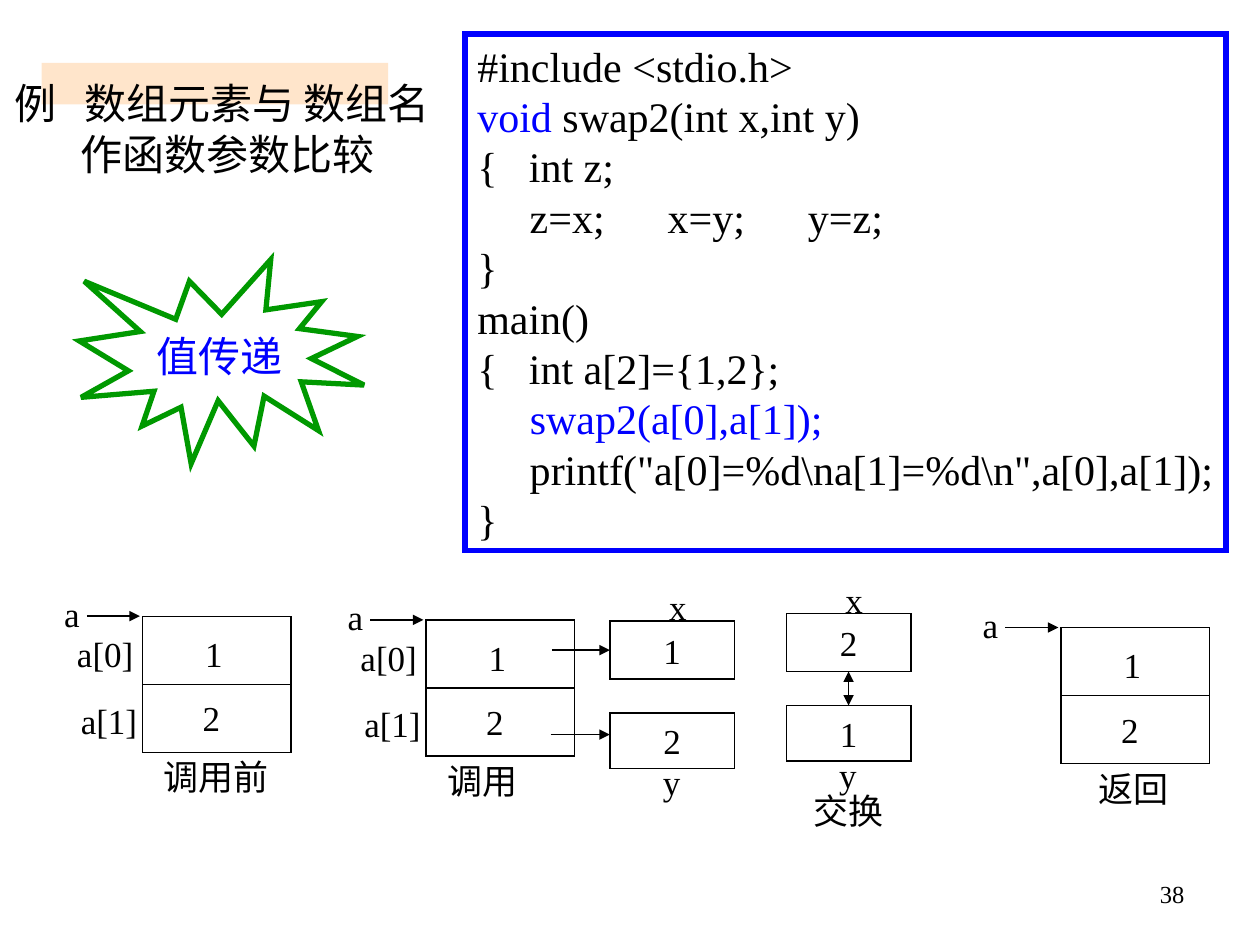
from lxml import etree
from pptx import Presentation
from pptx.dml.color import RGBColor
from pptx.enum.shapes import MSO_CONNECTOR as Link, MSO_SHAPE as Form
from pptx.enum.text import MSO_ANCHOR as Anchor, PP_ALIGN as Align
from pptx.oxml.ns import qn
from pptx.util import Inches, Pt

FONT = "Times New Roman"
BLACK, WHITE, BLUE = "000000", "FFFFFF", "0000FF"


def color(code):
    return RGBColor.from_string(code)


def write(shape, lines, size=20, align=Align.LEFT, anchor=Anchor.TOP):
    """Each line is a list of (text, colour) runs."""
    frame = shape.text_frame
    frame.word_wrap = False
    frame.vertical_anchor = anchor
    for i, line in enumerate(lines):
        para = frame.paragraphs[0] if i == 0 else frame.add_paragraph()
        para.alignment = align
        for text, code in line:
            run = para.add_run()
            run.text = text
            run.font.name = FONT
            run.font.size = Pt(size)
            run.font.color.rgb = color(code)


def label(slide, x, y, w, text, h=0.44, size=20, align=Align.LEFT):
    box = slide.shapes.add_textbox(Inches(x), Inches(y), Inches(w), Inches(h))
    write(box, [[(text, BLACK)]], size, align)


def block(slide, x, y, w, h, fill=WHITE, line=BLACK, width=0.75,
          form=Form.RECTANGLE):
    shape = slide.shapes.add_shape(form, Inches(x), Inches(y),
                                   Inches(w), Inches(h))
    shape.shadow.inherit = False
    shape.fill.solid()
    shape.fill.fore_color.rgb = color(fill)
    if line:
        shape.line.color.rgb = color(line)
        shape.line.width = Pt(width)
        # Sharp corners
        stroke = shape.line._get_or_add_ln()
        etree.SubElement(stroke, qn("a:miter"), lim="800000")
    else:
        shape.line.fill.background()
    return shape


def rule(slide, x1, y1, x2, y2, heads=()):
    """Straight line; heads may hold headEnd (start) and tailEnd (end)."""
    line = slide.shapes.add_connector(Link.STRAIGHT, Inches(x1), Inches(y1),
                                      Inches(x2), Inches(y2))
    line.line.color.rgb = color(BLACK)
    line.line.width = Pt(0.75)
    stroke = line.line._get_or_add_ln()
    for head in heads:
        etree.SubElement(stroke, qn("a:" + head), type="triangle")
    etree.SubElement(line._element.spPr, qn("a:effectLst"))
    return line


def title(slide, x, y, w, h):
    # Half-transparent band behind the heading
    band = block(slide, x + 0.31, y - 0.07, 2.75, 0.33, "FFCC99", None)
    tint = band.fill._xPr.find(".//" + qn("a:srgbClr"))
    etree.SubElement(tint, qn("a:alpha"), val="50000")

    box = slide.shapes.add_textbox(Inches(x), Inches(y), Inches(w), Inches(h))
    write(box, [[("例\t数组元素与 数组名", BLACK)],
                [("作函数参数比较", BLACK)]], 24)
    for para, left, first in zip(box.text_frame.paragraphs,
                                 (0.55, 0.52), (-0.55, 0)):
        props = para._p.get_or_add_pPr()
        props.set("marL", str(Inches(left)))
        props.set("indent", str(Inches(first)))
        if first:
            tabs = etree.SubElement(props, qn("a:tabLst"))
            etree.SubElement(tabs, qn("a:tab"), pos=str(Inches(left)), algn="l")


def code(slide, x, y, w, h):
    lines = [
        [("#include <stdio.h>", BLACK)],
        [("void", BLUE), (" swap2(int x,int y)", BLACK)],
        [("{   int z;", BLACK)],
        [("     z=x;      x=y;      y=z;", BLACK)],
        [("}", BLACK)],
        [("main()", BLACK)],
        [("{   int a[2]={1,2};", BLACK)],
        [("     ", BLACK), ("swap2(a[0],a[1]);", BLUE)],
        [('     printf("a[0]=%d\\na[1]=%d\\n",a[0],a[1]);', BLACK)],
        [("}", BLACK)],
    ]
    write(block(slide, x, y, w, h, line=BLUE, width=3), lines, 24)


def burst(slide, x, y, w, h):
    star = block(slide, x, y, w, h, WHITE, "009900", 3, Form.EXPLOSION1)
    write(star, [[("值传递", BLUE)]], 24, Align.CENTER, Anchor.MIDDLE)


def array(slide, x, y, w, h, name, shift=0.07, index=True):
    """Array a with two stacked elements and a caption below."""
    frame = block(slide, x, y, w, h)
    split = rule(slide, x, y + h / 2, x + w, y + h / 2)
    split.begin_connect(frame, 1)
    split.end_connect(frame, 3)
    label(slide, x + 0.4, y + 0.08, 0.34, "1")
    label(slide, x + 0.38, y + 0.59, 0.34, "2")
    # Pointer to the first element
    label(slide, x - 0.72, y - 0.24, 0.32, "a")
    rule(slide, x - 0.44, y, x - 0.02, y, ["tailEnd"])
    # Caption, wide enough for one line
    label(slide, x + shift, y + h - 0.02, 0.3 * len(name) + 0.3, name)
    if index:
        label(slide, x - 0.62, y + 0.08, 0.65, "a[0]", align=Align.CENTER)
        label(slide, x - 0.59, y + 0.61, 0.65, "a[1]", align=Align.CENTER)


def pair(slide, x, y, w, top, low):
    """Parameters x and y with their values; returns both cells."""
    cells = (block(slide, x, y, w, 0.46),
             block(slide, x, y + 0.73, w, 0.44))
    for cell, value in zip(cells, (top, low)):
        write(cell, [[(value, BLACK)]], 20, Align.CENTER, Anchor.MIDDLE)
    label(slide, x + 0.37, y - 0.33, 0.34, "x", align=Align.CENTER)
    label(slide, x + 0.32, y + 1.06, 0.34, "y", align=Align.CENTER)
    return cells


def call(slide, x, y, w, h):
    """Array elements copied into the parameters."""
    array(slide, x, y, w, h, "调用")
    left = x + 1.46
    cell, _ = pair(slide, left, y + 0.01, 0.99, "1", "2")
    first = rule(slide, x + 1, y + 0.24, left, y + 0.24, ["tailEnd"])
    first.end_connect(cell, 1)
    rule(slide, x + 0.99, y + 0.91, left, y + 0.91, ["tailEnd"])


def swap(slide, x, y, w):
    """Parameters after their values change places."""
    top, low = pair(slide, x, y, w, "2", "1")
    mid = x + w / 2
    both = rule(slide, mid, y + 0.46, mid, y + 0.73, ["headEnd", "tailEnd"])
    both.begin_connect(top, 2)
    both.end_connect(low, 0)
    label(slide, x, y + 1.35, w, "交换", align=Align.CENTER)


def main():
    deck = Presentation()
    deck.slide_width, deck.slide_height = Inches(10), Inches(7.5)
    slide = deck.slides.add_slide(deck.slide_layouts[6])

    # Heading, program and remark
    title(slide, 0.02, 0.57, 3.5, 0.9)
    code(slide, 3.69, 0.27, 6.04, 4.1)
    burst(slide, 0.63, 2.06, 2.26, 1.62)

    # Memory before, during and after the call
    array(slide, 1.13, 4.89, 1.18, 1.08, "调用前")
    call(slide, 3.38, 4.92, 1.18, 1.08)
    swap(slide, 6.24, 4.87, 0.99)
    array(slide, 8.42, 4.98, 1.18, 1.08, "返回", 0.2, False)

    # Page number
    label(slide, 7.17, 6.93, 2.33, "38", 0.52, 14, Align.RIGHT)
    deck.save("out.pptx")


if __name__ == "__main__":
    main()
